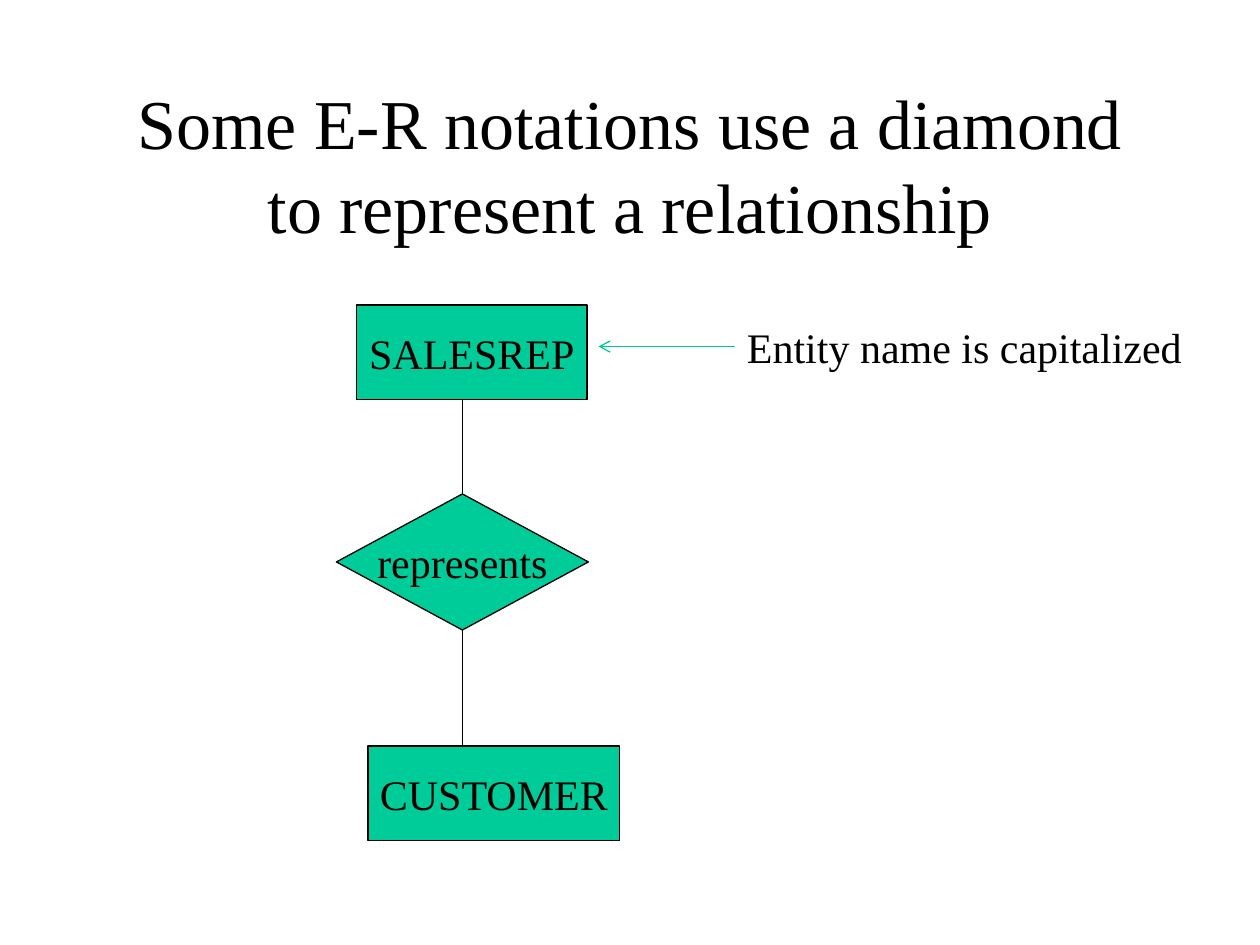
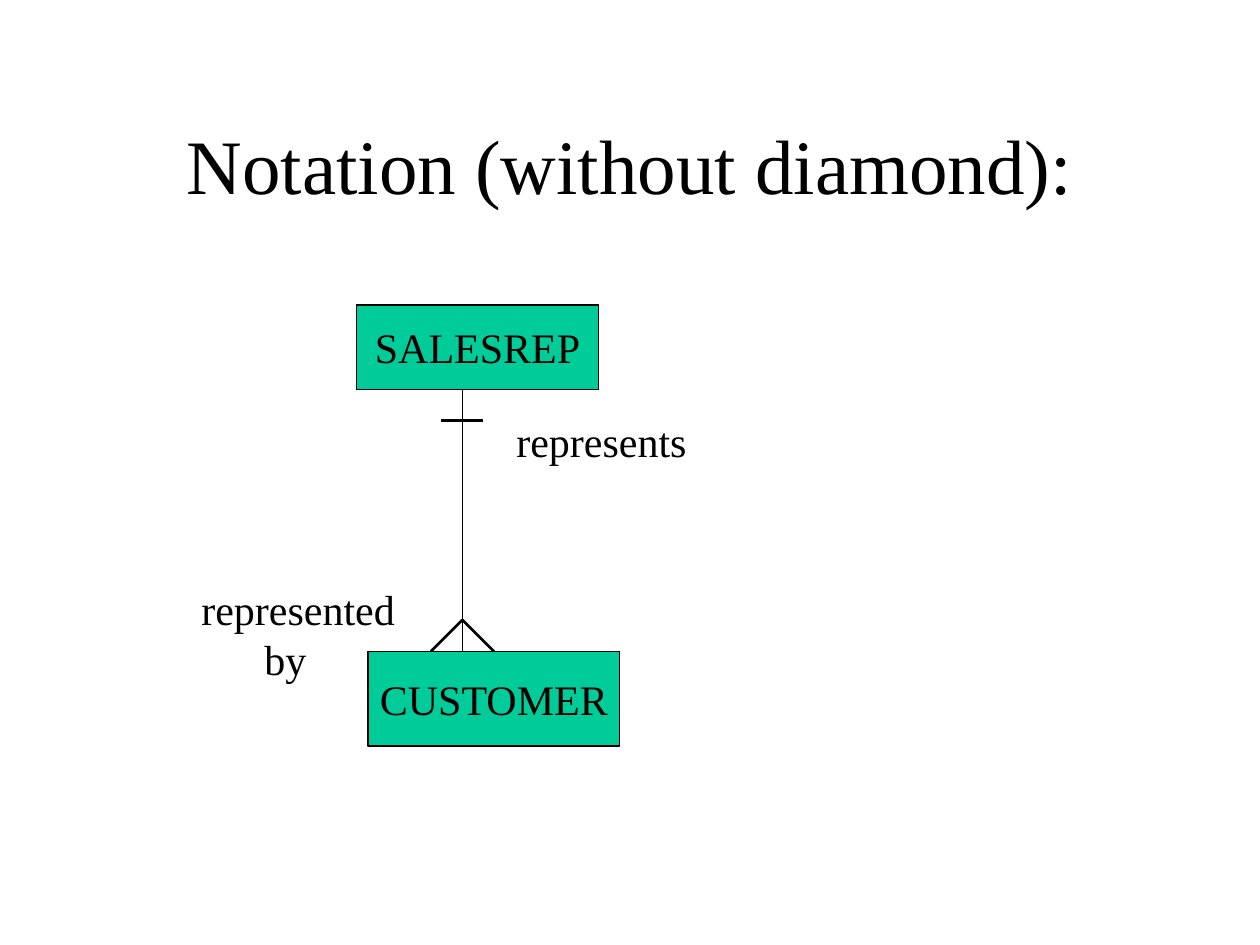
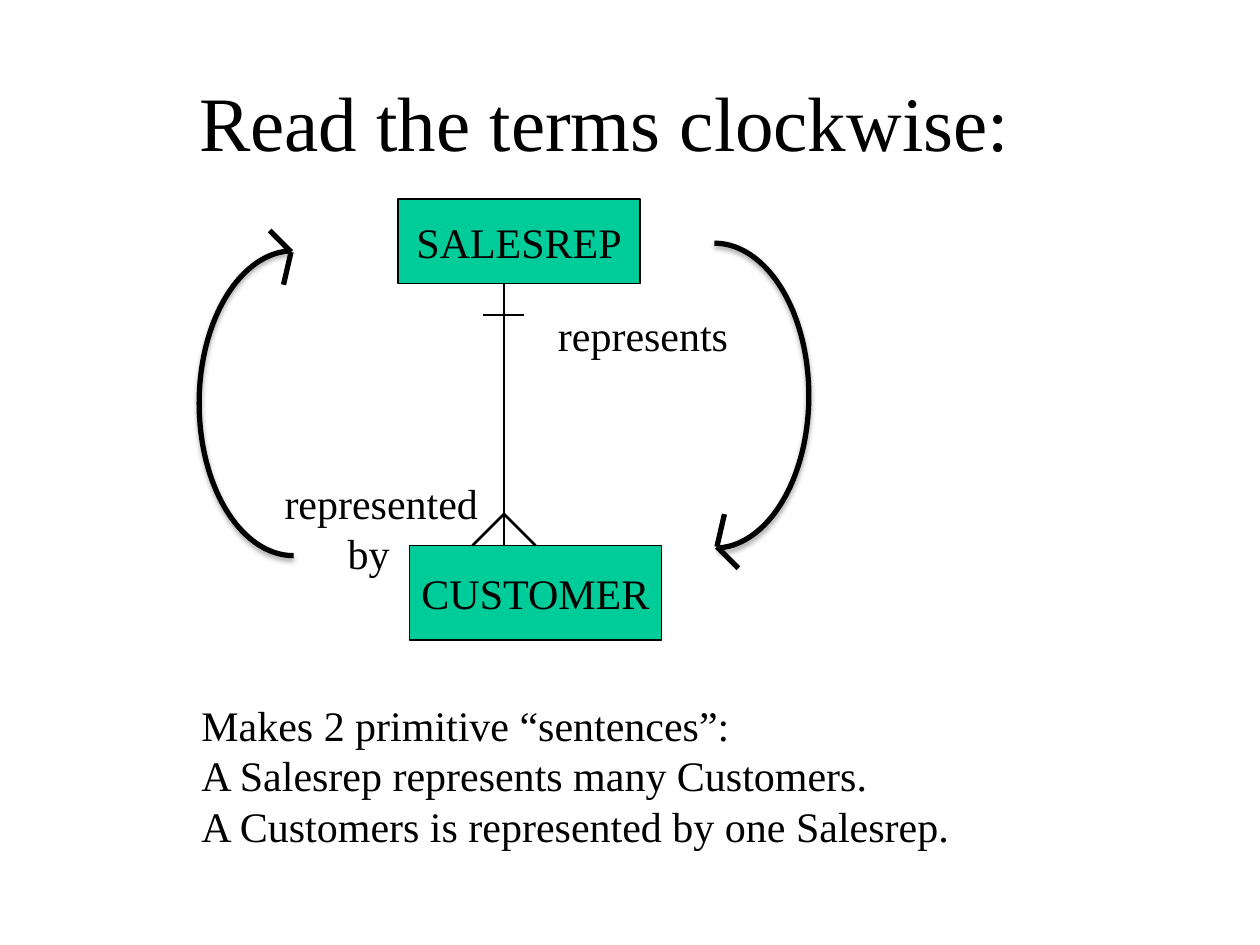
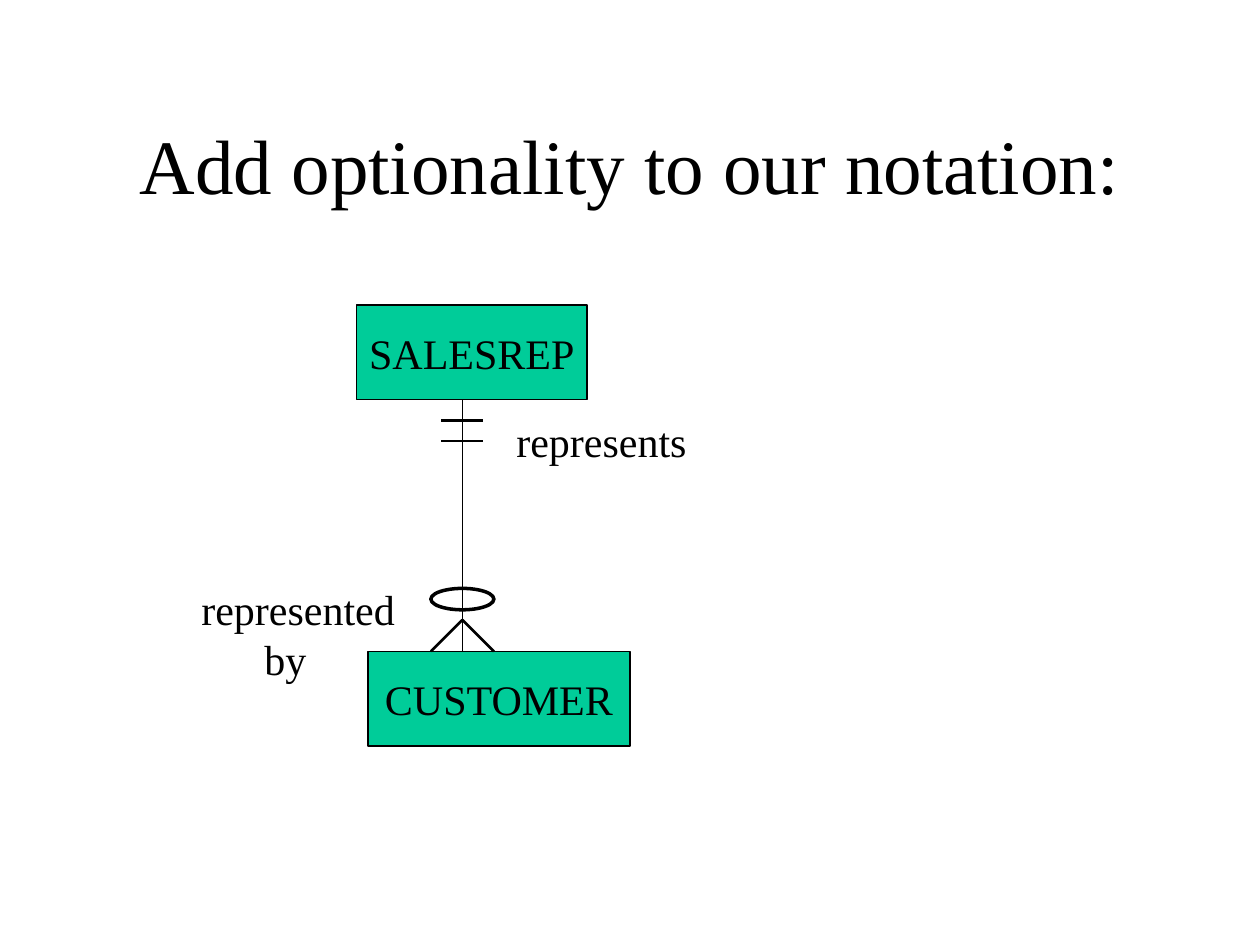
from lxml.etree import SubElement
from pptx import Presentation
from pptx.dml.color import RGBColor
from pptx.enum.shapes import MSO_CONNECTOR, MSO_SHAPE as SHAPE
from pptx.enum.text import MSO_ANCHOR as ANCHOR, MSO_AUTO_SIZE as AUTO_SIZE, PP_ALIGN as ALIGN
from pptx.oxml.ns import qn
from pptx.util import Inches, Pt

COLORS = {"ink": "000000", "entity": "00CC99", "pointer": "00C896"}
FONT = "Times New Roman"
BODY_SIZE = 24


def color(name):
    return RGBColor.from_string(COLORS[name])


class ErDeck:
    def __init__(self):
        self.deck = Presentation()
        self.deck.slide_width, self.deck.slide_height = Inches(10), Inches(7.5)
        self.shapes = None

    def new_slide(self, title, size=44, left=0.75, top=0.67):
        self.shapes = self.deck.slides.add_slide(self.deck.slide_layouts[6]).shapes
        heading = self.shapes.add_textbox(*map(Inches, (left, top, 8.5, 1.25)))
        self.set_text(heading, title, size, ALIGN.CENTER, ANCHOR.MIDDLE, wrap=True)

    def set_text(self, shape, text, size=BODY_SIZE, align=ALIGN.LEFT, anchor=ANCHOR.TOP,
                 wrap=False):
        frame = shape.text_frame
        frame.text = text
        frame.word_wrap = wrap
        frame.vertical_anchor = anchor
        for paragraph in frame.paragraphs:
            paragraph.alignment = align
            for run in paragraph.runs:
                run.font.name, run.font.size = FONT, Pt(size)
                run.font.color.rgb = color("ink")

    def label(self, text, left, top, width, height):
        box = self.shapes.add_textbox(*map(Inches, (left, top, width, height)))
        self.set_text(box, text)
        box.text_frame.auto_size = AUTO_SIZE.SHAPE_TO_FIT_TEXT
        return box

    def outline(self, kind, left, top, width, height, weight):
        """Add an unfilled preset shape without a shadow."""
        shape = self.shapes.add_shape(kind, *map(Inches, (left, top, width, height)))
        shape.fill.background()
        shape.line.color.rgb = color("ink")
        shape.line.width = Pt(weight)
        shape.shadow.inherit = False
        return shape

    def node(self, text, left, top, width, height=0.75, kind=SHAPE.RECTANGLE):
        """Add a filled entity or relationship with its name."""
        node = self.outline(kind, left, top, width, height, 0.75)
        node.fill.solid()
        node.fill.fore_color.rgb = color("entity")
        self.set_text(node, text, align=ALIGN.CENTER, anchor=ANCHOR.MIDDLE)

    def line(self, start, end, weight=0.75, ink="ink", arrow=False):
        line = self.shapes.add_connector(MSO_CONNECTOR.STRAIGHT, *map(Inches, (*start, *end)))
        line.line.color.rgb = color(ink)
        line.line.width = Pt(weight)
        properties = line._element.spPr
        if arrow:
            SubElement(properties.find(qn("a:ln")), qn("a:tailEnd"), type="arrow")
        SubElement(properties, qn("a:effectLst"))

    def tick(self, center, y):
        self.line((center - 0.17, y), (center + 0.16, y), 1.5)

    def crows_foot(self, center, base):
        for side in (-0.25, 0.25):
            self.line((center, base - 0.25), (center + side, base), 1.5)

    def notation(self, center, top, rep_size, customer_width, inverse_left):
        """Draw the one-to-many relationship between the two entities."""
        base = top + 2.75
        self.node("SALESREP", center - 0.84, top, *rep_size)
        self.node("CUSTOMER", center - 0.75, base, customer_width)
        self.line((center, top + rep_size[1]), (center, base))
        self.label("represents", center + 0.33, top + 0.83, 1.55, 0.5)
        inverse = self.label("represented\nby", inverse_left, top + 2.16, 1.75, 0.91)
        by = inverse.text_frame.paragraphs[1]
        by._p.get_or_add_pPr().set("marL", str(Inches(0.5)))
        self.tick(center, top + 0.92)
        self.crows_foot(center, base)

    def curved_arrow(self, x, y, turn=1):
        """Draw a half-oval arrow centred on x, y; turn -1 rotates it by half a turn."""
        arc = self.outline(SHAPE.ARC, x - 0.75, y - 1.21, 1.5, 2.42, 3)
        arc.adjustments[0], arc.adjustments[1] = 162, 53.219
        arc.rotation = 0 if turn == 1 else 180
        effects = arc._element.spPr.find(qn("a:effectLst"))
        shadow = SubElement(effects, qn("a:outerShdw"), blurRad=str(Pt(3.1)),
                            dist=str(Pt(1.8)), dir="5400000", rotWithShape="0")
        tone = SubElement(shadow, qn("a:srgbClr"), val=COLORS["ink"])
        SubElement(tone, qn("a:alpha"), val="35000")
        tip = (x + turn * 0.02, y + turn * 1.2)
        for dx, dy in ((0.06, -0.26), (0.17, 0.17)):
            self.line((tip[0] + turn * dx, tip[1] + turn * dy), tip, 3)


def diamond_slide(er):
    er.new_slide("Some E-R notations use a diamond to represent a relationship", size=40)
    center = 3.67
    er.node("SALESREP", 2.83, 2.42, 1.83)
    er.node("CUSTOMER", 2.92, 5.92, 2)
    er.line((center, 3.17), (center, 3.92))
    er.node("represents", center - 1, 3.92, 2, 1.08, SHAPE.DIAMOND)
    er.line((center, 5), (center, 5.92))
    er.label("Entity name is capitalized", 5.83, 2.5, 3.68, 0.51)
    er.line((5.83, 2.75), (4.75, 2.75), ink="pointer", arrow=True)


def plain_slide(er):
    er.new_slide("Notation (without diamond):")
    er.notation(3.67, 2.42, (1.92, 0.67), 2, inverse_left=1.5)


def clockwise_slide(er):
    er.new_slide("Read the terms clockwise:", left=0.55, top=0.33)
    er.notation(4, 1.58, (1.92, 0.67), 2, inverse_left=2.16)
    er.curved_arrow(5.67, 3.14)
    er.curved_arrow(2.33, 3.2, turn=-1)
    er.label("Makes 2 primitive “sentences”:\n"
             "A Salesrep represents many Customers.\n"
             "A Customers is represented by one Salesrep.", 1.5, 5.5, 6.19, 1.31)


def optionality_slide(er):
    er.new_slide("Add optionality to our notation:")
    center = 3.67
    er.notation(center, 2.42, (1.83, 0.75), 2.08, inverse_left=1.5)
    er.tick(center, 3.5)
    er.outline(SHAPE.OVAL, center - 0.25, 4.67, 0.5, 0.17, 2)


def main():
    er = ErDeck()
    for build in (diamond_slide, plain_slide, clockwise_slide, optionality_slide):
        build(er)
    er.deck.save("out.pptx")


if __name__ == "__main__":
    main()
